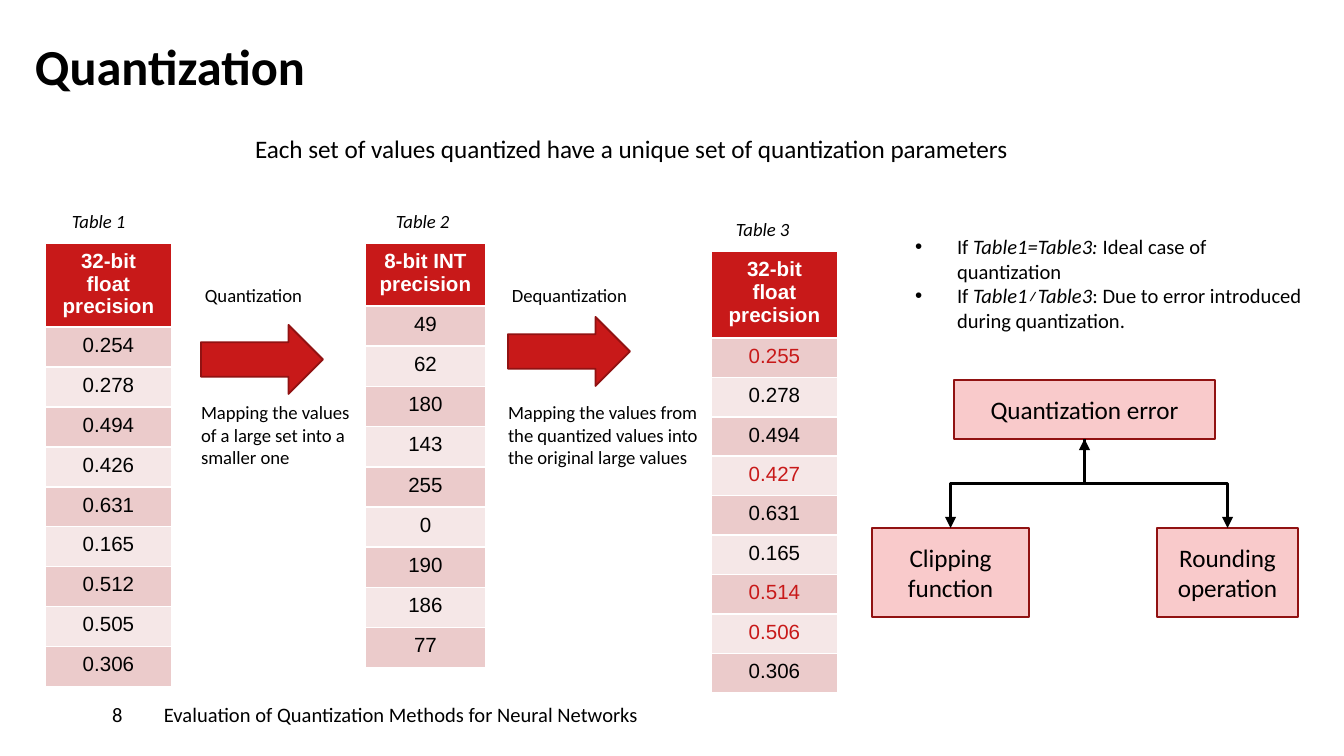
import pptx
import pptx.dml.color
import pptx.enum.shapes
import pptx.enum.text
import pptx.oxml.ns
import pptx.util
from lxml import etree

PX = 914400 * 10 / 1344  # the slide is 1344 px wide
ALIGN = pptx.enum.text.PP_ALIGN
ANCHOR = pptx.enum.text.MSO_ANCHOR
SHAPE = pptx.enum.shapes.MSO_SHAPE
RED, DARK_RED, PINK = "C81919", "911212", "F9CACB"
BLACK, WHITE = "000000", "FFFFFF"
BANDS = ("EBCBCB", "F5E7E7")
PADDING = (13, 7, 13, 7)
NO_PADDING = (0, 0, 0, 0)


def emu(*lengths):
    return [pptx.util.Emu(round(length * PX)) for length in lengths]


def rgb(color):
    return pptx.dml.color.RGBColor.from_string(color)


def set_font(paragraph, size, color=BLACK, bold=False, italic=None, name="Calibri"):
    font = paragraph.font
    font.name, font.size, font.bold = name, pptx.util.Pt(size), bold
    font.color.rgb = rgb(color)
    if italic is not None:
        font.italic = italic


def place(shape, box):
    shape.left, shape.top, shape.width, shape.height = emu(*box)
    return shape


def set_frame(shape, padding=PADDING, anchor=ANCHOR.TOP):
    frame = shape.text_frame
    frame.word_wrap = True
    frame.auto_size = pptx.enum.text.MSO_AUTO_SIZE.NONE
    frame.vertical_anchor = anchor
    (frame.margin_left, frame.margin_top,
     frame.margin_right, frame.margin_bottom) = emu(*padding)
    return frame


def write(shape, text, size, padding=PADDING, anchor=ANCHOR.TOP,
          align=ALIGN.LEFT, **font):
    frame = set_frame(shape, padding, anchor)
    frame.text = text
    paragraph = frame.paragraphs[0]
    paragraph.alignment = align
    set_font(paragraph, size, **font)
    return paragraph


def add_text(slide, box, text, size, **options):
    write(slide.shapes.add_textbox(*emu(*box)), text, size, **options)


def add_block(slide, preset, box, fill, line=None):
    shape = slide.shapes.add_shape(preset, *emu(*box))
    shape.shadow.inherit = False
    shape.fill.solid()
    shape.fill.fore_color.rgb = rgb(fill)
    if line:
        shape.line.color.rgb = rgb(line)
        shape.line.width = pptx.util.Pt(1)
    else:
        shape.line.fill.background()
    return shape


def set_indent(paragraph, indent):
    """Hang the bullet by indent px; with 0 the bullet is removed."""
    properties = paragraph._p.get_or_add_pPr()
    width = emu(indent)[0]
    properties.set("marL", str(width))
    properties.set("indent", str(-width))
    if not indent:
        etree.SubElement(properties, pptx.oxml.ns.qn("a:buNone"))
    paragraph.space_before = pptx.util.Pt(0)


def add_footer(slide, box, number, text):
    left, top, width, height = box
    split = 164
    parts = ((left, split, number, (112, 0, 0, 0)),
             (left + split, width - split, text, NO_PADDING))
    for part_left, part_width, words, padding in parts:
        shape = add_block(slide, SHAPE.RECTANGLE,
                          (part_left, top, part_width, height), WHITE)
        write(shape, words, 11, padding=padding, anchor=ANCHOR.MIDDLE)


def add_value_table(slide, box, header_height, caption, caption_box, header,
                    values, changed=()):
    left, top, width, height = box
    caption_left, caption_width = caption_box
    add_text(slide, (left + caption_left, top - 40, caption_width, 36),
             caption, 10, italic=True)
    table = slide.shapes.add_table(len(values) + 1, 1, *emu(*box)).table
    row_height = (height - header_height) / len(values)
    for index, text in enumerate([header] + values):
        is_header = index == 0
        table.rows[index].height = emu(header_height if is_header else row_height)[0]
        cell = table.cell(index, 0)
        cell.fill.solid()
        cell.fill.fore_color.rgb = rgb(RED if is_header else BANDS[(index - 1) % 2])
        cell.text = text
        paragraph = cell.text_frame.paragraphs[0]
        paragraph.alignment = ALIGN.CENTER
        color = WHITE if is_header else RED if text in changed else BLACK
        set_font(paragraph, 11, color, bold=is_header, name="Arial")


def add_step(slide, box, arrow_top, label, description, description_shape):
    left, top, width, height = box
    add_text(slide, (left - 9, top, 160, 36), label, 10)
    add_block(slide, SHAPE.RIGHT_ARROW, (left, top + arrow_top, 122, 69),
              RED, DARK_RED)
    place(description_shape, (left, top + 124, width, height - 124))
    paragraph = write(description_shape, description, 10, padding=NO_PADDING)
    set_indent(paragraph, 0)


def add_notes(shape, box, notes):
    """Each note is a list of (text, italic) pairs."""
    frame = set_frame(place(shape, box))
    for index, note in enumerate(notes):
        paragraph = frame.add_paragraph() if index else frame.paragraphs[0]
        set_indent(paragraph, 42)
        set_font(paragraph, 11)
        for text, italic in note:
            run = paragraph.add_run()
            run.text, run.font.italic = text, italic


def add_branch(slide, parent, child, ends):
    """Join the parent's bottom to the child's top by a vertical elbow."""
    connector = slide.shapes.add_connector(
        pptx.enum.shapes.MSO_CONNECTOR.ELBOW, 0, 0, 0, 0)
    connector.begin_connect(parent, 2)
    connector.end_connect(child, 0)
    start_x, start_y = parent.left + parent.width // 2, parent.top + parent.height
    end_x, end_y = child.left + child.width // 2, child.top
    drop, reach = end_y - start_y, abs(end_x - start_x)
    # The elbow is drawn sideways and then turned about its centre.
    connector.left = (start_x + end_x - drop) // 2
    connector.top = (start_y + end_y - reach) // 2
    connector.width, connector.height = drop, reach
    to_right = end_x > start_x
    properties = connector._element.spPr
    properties.xfrm.rot = 270 if to_right else 90
    properties.xfrm.flipH, properties.xfrm.flipV = to_right, False
    connector.line.color.rgb = rgb(BLACK)
    connector.line.width = pptx.util.Pt(1.5)
    line = connector.line._get_or_add_ln()
    for end in ends:
        etree.SubElement(line, pptx.oxml.ns.qn(f"a:{end}"), type="triangle")
    etree.SubElement(properties, pptx.oxml.ns.qn("a:effectLst"))


def add_error_tree(slide, box):
    left, top, width, height = box
    parts = (("Quantization error", (left + 82, top, 261, 59)),
             ("Clipping function", (left, top + height - 89, 157, 89)),
             ("Rounding operation", (left + width - 141, top + height - 89, 141, 89)))
    shapes = []
    for text, part_box in parts:
        shape = add_block(slide, SHAPE.RECTANGLE, part_box, PINK, DARK_RED)
        write(shape, text, 13.5, anchor=ANCHOR.MIDDLE, align=ALIGN.CENTER)
        shapes.append(shape)
    error, clipping, rounding = shapes
    add_branch(slide, error, clipping, ("headEnd", "tailEnd"))
    add_branch(slide, error, rounding, ("tailEnd",))


def main():
    presentation = pptx.Presentation()
    presentation.slide_width, presentation.slide_height = emu(1344, 756)
    slide = presentation.slides.add_slide(presentation.slide_layouts[3])
    title, description, notes = slide.placeholders

    write(place(title, (35, 35, 1110, 79)), "Quantization", 27,
          padding=NO_PADDING, bold=True)
    add_footer(slide, (0, 672, 1199, 84), "8",
               "Evaluation of Quantization Methods for Neural Networks")
    add_text(slide, (242, 126, 860, 45),
             "Each set of values quantized have a unique set of quantization parameters",
             13.5)

    float_header = "32-bit float precision"
    add_value_table(slide, (45, 243, 127, 444), 84, "Table 1", (14, 85), float_header,
                    "0.254 0.278 0.494 0.426 0.631 0.165 0.512 0.505 0.306".split())
    add_value_table(slide, (365, 243, 121, 425), 63, "Table 2", (18, 85),
                    "8-bit INT precision", "49 62 180 143 255 0 190 186 77".split())
    add_value_table(slide, (711, 251, 127, 442), 87, "Table 3", (12, 91), float_header,
                    "0.255 0.278 0.494 0.427 0.631 0.165 0.514 0.506 0.306".split(),
                    changed=("0.255", "0.427", "0.514", "0.506"))

    add_step(slide, (201, 277, 164, 180), 48, "Quantization",
             "Mapping the values of a large set into a smaller one",
             slide.shapes.add_textbox(0, 0, 0, 0))
    add_step(slide, (508, 277, 215, 176), 40, "Dequantization",
             "Mapping the values from the quantized values into the original large values",
             description)

    add_notes(notes, (902, 227, 421, 138), (
        [("If ", False), ("Table1=Table3: ", True),
         ("Ideal case of quantization", False)],
        [("If ", False), ("Table1≠Table3", True),
         (": Due to error introduced during quantization.", False)]))
    add_error_tree(slide, (872, 380, 426, 237))
    presentation.save("out.pptx")


if __name__ == "__main__":
    main()
